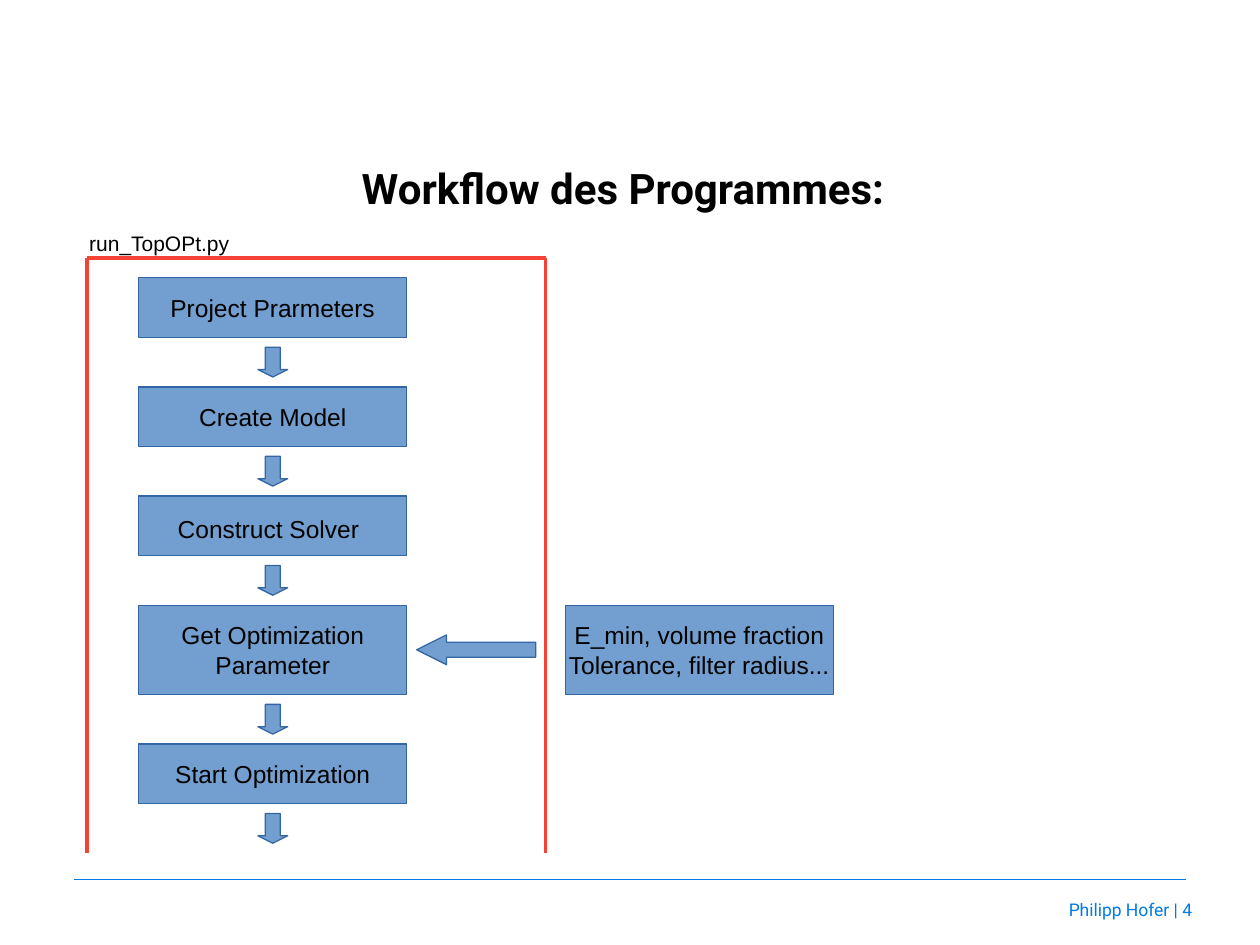
"""Build the slide showing the workflow of the optimization program."""
from lxml.etree import SubElement
from pptx import Presentation
from pptx.dml.color import RGBColor
from pptx.enum.shapes import MSO_CONNECTOR, MSO_SHAPE
from pptx.enum.text import MSO_ANCHOR, PP_ALIGN
from pptx.oxml.ns import qn
from pptx.util import Cm, Pt

BLACK = RGBColor(0x00, 0x00, 0x00)
BLUE = RGBColor(0x72, 0x9F, 0xCF)
DARK_BLUE = RGBColor(0x34, 0x65, 0xA4)
FOOTER_BLUE = RGBColor(0x00, 0x7B, 0xE4)
RED = RGBColor(0xF4, 0x43, 0x36)

STEP_LEFT, STEP_WIDTH, STEP_GAP = 2.8, 5.4, 1.0
ARROW_SIZE = 0.6
FRAME_LEFT, FRAME_TOP, FRAME_RIGHT, FRAME_BOTTOM = 1.75, 5.2, 11, 17.2


def write(shape, text, size=14, font="Arial", color=BLACK, bold=False,
          align=PP_ALIGN.CENTER, anchor=MSO_ANCHOR.MIDDLE, wrap=True, space_size=None):
    frame = shape.text_frame
    frame.word_wrap = wrap
    frame.vertical_anchor = anchor
    for index, line in enumerate(text.split("\n")):
        paragraph = frame.add_paragraph() if index else frame.paragraphs[0]
        paragraph.alignment = align
        pieces = [(line, size)] + ([(" ", space_size)] if space_size else [])
        for piece, points in pieces:
            run = paragraph.add_run()
            run.text = piece
            run.font.name = font
            run.font.size = Pt(points)
            run.font.bold = bold
            run.font.color.rgb = color


def add_block(kind, left, top, width, height):
    block = slide.shapes.add_shape(kind, Cm(left), Cm(top), Cm(width), Cm(height))
    block.shadow.inherit = False
    block.fill.solid()
    block.fill.fore_color.rgb = BLUE
    block.line.color.rgb = DARK_BLUE
    block.line.width = Pt(0)
    return block


presentation = Presentation()
presentation.slide_width = Cm(25.4)
presentation.slide_height = Cm(19.05)
slide = presentation.slides.add_slide(presentation.slide_layouts[6])

footer = slide.shapes.add_textbox(Cm(19.5), Cm(18), Cm(4.78), Cm(0.74))
write(footer, "Philipp Hofer | 4", size=10, font="Roboto", color=FOOTER_BLUE,
      align=PP_ALIGN.RIGHT, anchor=MSO_ANCHOR.TOP)

title = slide.shapes.add_textbox(Cm(1.75), Cm(2.3), Cm(21.9), Cm(2.75))
write(title, "Workflow des Programmes:", size=24, font="Roboto", bold=True, space_size=32)

steps = [
    ("Project Prarmeters", 1.2, None),
    ("Create Model", 1.2, None),
    ("Construct Solver", 1.2, 18),
    ("Get Optimization\nParameter", 1.8, None),
    ("Start Optimization", 1.2, None),
]
top = 5.6
for label, height, space_size in steps:
    step = add_block(MSO_SHAPE.RECTANGLE, STEP_LEFT, top, STEP_WIDTH, height)
    write(step, label, wrap=False, space_size=space_size)
    add_block(MSO_SHAPE.DOWN_ARROW, STEP_LEFT + (STEP_WIDTH - ARROW_SIZE) / 2,
              top + height + (STEP_GAP - ARROW_SIZE) / 2, ARROW_SIZE, ARROW_SIZE
              ).adjustments[1] = 0.25
    top += height + STEP_GAP

parameters = add_block(MSO_SHAPE.RECTANGLE, 11.4, 12.2, STEP_WIDTH, 1.8)
write(parameters, "E_min, volume fraction\nTolerance, filter radius...", wrap=False)

parameter_input = add_block(MSO_SHAPE.DOWN_ARROW, 9.3, 11.9, ARROW_SIZE, 2.4)
parameter_input.adjustments[1] = 1
parameter_input.rotation = 90

rules = [
    (1.5, 17.73, 23.9, 17.73, FOOTER_BLUE, 0.75),
    (FRAME_LEFT, FRAME_BOTTOM, FRAME_LEFT, FRAME_TOP, RED, 0),
    (FRAME_LEFT, FRAME_TOP, FRAME_RIGHT, FRAME_TOP, RED, 0),
    (FRAME_RIGHT, FRAME_BOTTOM, FRAME_RIGHT, FRAME_TOP, RED, 0),
]
for x1, y1, x2, y2, color, points in rules:
    rule = slide.shapes.add_connector(MSO_CONNECTOR.STRAIGHT, Cm(x1), Cm(y1), Cm(x2), Cm(y2))
    rule.line.color.rgb = color
    rule.line.width = Pt(points)
    SubElement(rule._element.spPr, qn("a:effectLst"))

script_name = slide.shapes.add_textbox(Cm(1.55), Cm(4.52), Cm(5.05), Cm(1.68))
write(script_name, "run_TopOPt.py", size=12, align=PP_ALIGN.LEFT, anchor=MSO_ANCHOR.TOP)

presentation.save("out.pptx")
